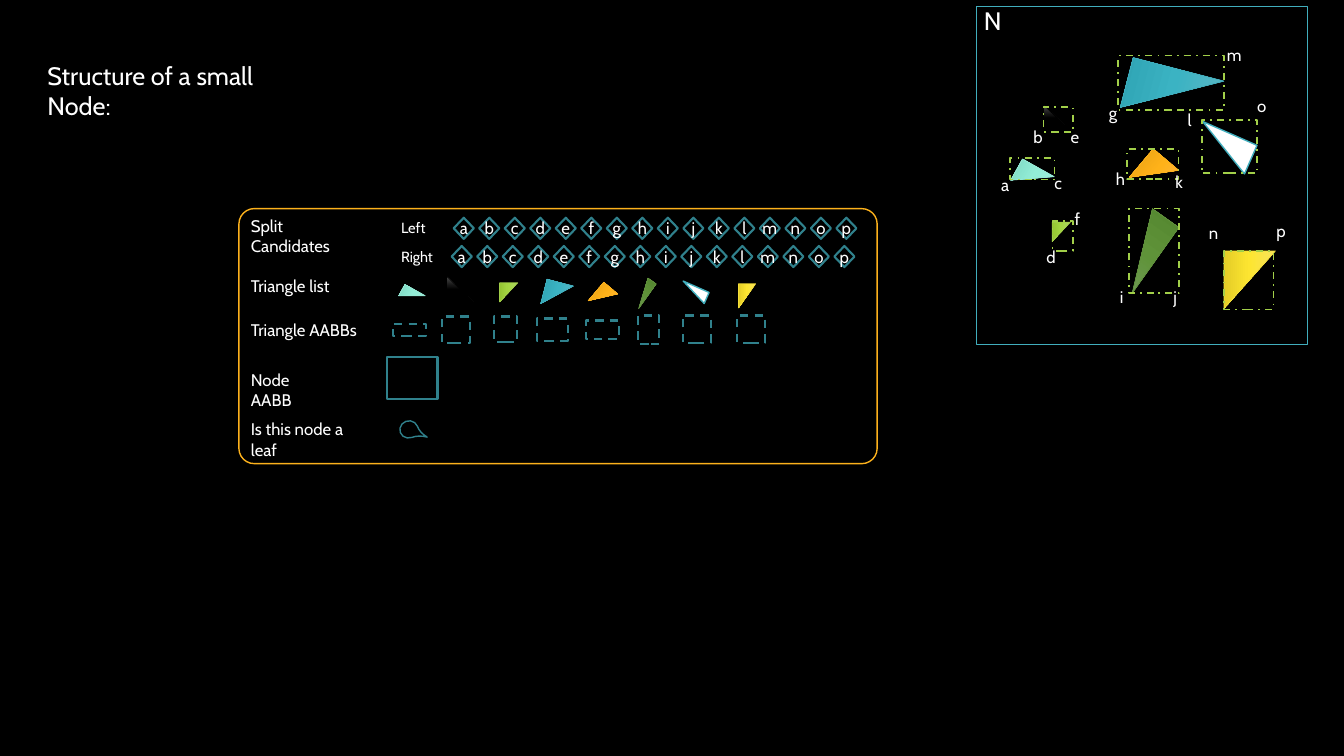
import pptx
import pptx.dml.color
import pptx.enum.dml
import pptx.enum.shapes
import pptx.enum.text
import pptx.oxml
import pptx.oxml.ns
import pptx.util

SHAPE = pptx.enum.shapes.MSO_SHAPE
DASH = pptx.enum.dml.MSO_LINE
ALIGN = pptx.enum.text.PP_ALIGN
ANCHOR = pptx.enum.text.MSO_ANCHOR
FONT, WHITE, TEAL, LIME, AMBER, SKY = "Cabin", "FFFFFF", "30818C", "A2CF49", "FCB11C", "41AEBD"
LETTERS = "abcdefghijklmnop"

# The slide is a grid of 1333 x 750 cells; every box is (column, row, columns, rows).
CELL = pptx.util.Inches(0.01)
SLIDE_COLUMNS, SLIDE_ROWS = 1333, 750
TITLE_BOX = (37, 55, 262, 75)
SCENE_BOX = (968, 6, 329, 336)
NODE_BOX = (237, 207, 633, 253)

# Each triangle: fill stops, line colour, line width, rotation,
# then its triangle and AABB in the scene and in the node.
TRIANGLES = [
    (("A4EDDB", "93EDD7", "7DD8C2"), "97E9D5", 0.5, 119.1,
     (44, 153, 24, 36), (34, 151, 44, 21), (165, 75, 13, 23), (153, 114, 33, 12)),
    (("4B4B4B", "000000", "000000"), "000000", 0.5, 0,
     (67, 98, 27, 26), (67, 100, 29, 25), (206, 67, 27, 26), (201, 107, 28, 26)),
    (("ACD564", "A4D642", "94C533"), LIME, 0.5, 90,
     (75, 215, 19, 18), (76, 213, 20, 30), (258, 74, 19, 18), (253, 107, 23, 25)),
    (("5FB7C5", "3BB3C3", "2FA3B3"), SKY, 0.5, 104.5,
     (169, 41, 51, 93), (141, 49, 105, 54), (303, 72, 25, 27), (296, 109, 30, 22)),
    (("FFBA4F", "FFB219", "E59F14"), AMBER, 0.5, 130.2,
     (158, 150, 37, 33), (150, 142, 51, 30), (349, 79, 24, 18), (344, 111, 33, 18)),
    (("749C5C", "5F9339", "54862F"), "608F3D", 0.5, 215.3,
     (149, 203, 32, 80), (152, 201, 49, 84), (396, 69, 10, 30), (396, 106, 21, 28)),
    ((WHITE,), SKY, 1, 203.7,
     (216, 125, 59, 31), (224, 113, 55, 53), (437, 77, 28, 12), (440, 106, 28, 27)),
    (("F8E35C", "FDE531", "E5CE27"), "F4DE3A", 0.5, 90,
     (243, 246, 57, 51), (246, 243, 49, 58), (492, 78, 24, 17), (494, 106, 28, 27)),
]
VERTICES = {
    "a": (15, 162), "b": (47, 115), "c": (68, 160), "d": (60, 234),
    "e": (84, 115), "f": (88, 196), "g": (122, 91), "h": (129, 156),
    "i": (133, 274), "j": (186, 274), "k": (188, 159), "l": (200, 98),
    "m": (239, 33), "n": (221, 210), "o": (269, 84), "p": (288, 208),
}
NODE_LABELS = [
    ("Split Candidates", 2, 115), ("Triangle list", 62, 133), ("Triangle AABBs", 105, 140),
    ("Node AABB", 155, 90), ("Is this node a leaf", 204, 125),
]
CANDIDATE_ROWS = [("Left", 5, 213, 9), ("Right", 34, 211, 37)]
CANDIDATE_STEP = 25.3


def rgb(value):
    return pptx.dml.color.RGBColor.from_string(value)


def cells(region, box):
    """Lengths of a box whose column and row count from the region's corner."""
    column, row, columns, rows = box
    return [int(n * CELL) for n in (region[0] + column, region[1] + row, columns, rows)]


def write(frame, text, size, align=ALIGN.LEFT, **frame_format):
    for name, value in frame_format.items():
        setattr(frame, name, value)
    paragraph = frame.paragraphs[0]
    paragraph.alignment = align
    run = paragraph.add_run()
    run.text = text
    run.font.color.rgb = rgb(WHITE)
    for name, value in {"name": FONT, "size": pptx.util.Pt(size), "bold": False}.items():
        setattr(run.font, name, value)


def add_label(shapes, region, box, text, size=12, wrap=False):
    frame = shapes.add_textbox(*cells(region, box)).text_frame
    write(frame, text, size, word_wrap=wrap)


def add_outline(shapes, region, box, kind, color, width, dash=None, rotation=0, adjust=None):
    outline = shapes.add_shape(kind, *cells(region, box))
    outline.shadow.inherit = False
    outline.fill.background()
    outline.line.color.rgb = rgb(color)
    outline.line.width = pptx.util.Pt(width)
    outline.rotation = rotation
    if dash:
        outline.line.dash_style = dash
    if adjust is not None:
        outline.adjustments[0] = adjust
    return outline


def fill_gradient(shape, colors):
    stops = "".join(
        f'<a:gs pos="{position}"><a:srgbClr val="{color}"/></a:gs>'
        for position, color in zip((0, 50000, 100000), colors))
    gradient = pptx.oxml.parse_xml(
        f'<a:gradFill {pptx.oxml.ns.nsdecls("a")} rotWithShape="1">'
        f'<a:gsLst>{stops}</a:gsLst><a:lin ang="5400000" scaled="0"/></a:gradFill>')
    properties = shape.element.spPr
    no_fill = properties.find(pptx.oxml.ns.qn("a:noFill"))
    properties.replace(no_fill, gradient)


def add_triangle(shapes, region, box, colors, line, width, rotation):
    triangle = add_outline(shapes, region, box, SHAPE.RIGHT_TRIANGLE, line, width,
                           rotation=rotation)
    if len(colors) > 1:
        fill_gradient(triangle, colors)
    else:
        triangle.fill.solid()
        triangle.fill.fore_color.rgb = rgb(colors[0])


def add_title(slide, box):
    title = slide.shapes.title
    title.left, title.top, title.width, title.height = cells((0, 0), box)
    write(title.text_frame, "Structure of a small Node:", 18, word_wrap=True,
          auto_size=pptx.enum.text.MSO_AUTO_SIZE.NONE, vertical_anchor=ANCHOR.TOP)


def add_scene(slide, region):
    """The triangles in space, each in its bounding box, with lettered box edges."""
    shapes = slide.shapes.add_group_shape().shapes
    add_label(shapes, region, (-2, -6, 37, 40), "N", 18)
    add_outline(shapes, region, (0, 0, *region[2:]), SHAPE.RECTANGLE, SKY, 0.5)
    for *look, triangle, _, _, _ in TRIANGLES:
        add_triangle(shapes, region, triangle, *look)
    for *_, aabb, _, _ in TRIANGLES:
        add_outline(shapes, region, aabb, SHAPE.RECTANGLE, LIME, 1.25, DASH.DASH_DOT)
    for letter, corner in VERTICES.items():
        add_label(shapes, region, (*corner, 29, 30), letter)


def add_candidates(shapes, region, side, label_row, first_column, row):
    add_label(shapes, region, (151, label_row, 53, 28), side, 10.5)
    for index, letter in enumerate(LETTERS):
        box = (first_column + index * CANDIDATE_STEP, row, 20, 21)
        diamond = add_outline(shapes, region, box, SHAPE.DIAMOND, TEAL, 1.5)
        write(diamond.text_frame, letter, 12, ALIGN.CENTER, word_wrap=False,
              vertical_anchor=ANCHOR.MIDDLE, margin_left=0, margin_right=0,
              margin_top=0, margin_bottom=0)


def add_node(slide, region):
    """The fields that a small node stores, one per row."""
    shapes = slide.shapes.add_group_shape().shapes
    for text, row, columns in NODE_LABELS:
        add_label(shapes, region, (2, row, columns, 30), text, wrap=True)
    for candidates in CANDIDATE_ROWS:
        add_candidates(shapes, region, *candidates)
    for *look, _, _, triangle, aabb in TRIANGLES:
        add_triangle(shapes, region, triangle, *look)
        add_outline(shapes, region, aabb, SHAPE.RECTANGLE, TEAL, 1.5, DASH.DASH)
    add_outline(shapes, region, (147, 147, 50, 42), SHAPE.RECTANGLE, TEAL, 1.5)
    add_outline(shapes, region, (160, 210, 17, 18), SHAPE.TEAR, TEAL, 1,
                rotation=69.4, adjust=1.59)
    add_outline(shapes, region, (0, 0, *region[2:]), SHAPE.ROUNDED_RECTANGLE, AMBER, 1,
                adjust=0.06)


def main():
    deck = pptx.Presentation()
    deck.slide_width, deck.slide_height = SLIDE_COLUMNS * CELL, SLIDE_ROWS * CELL
    slide = deck.slides.add_slide(deck.slide_layouts.get_by_name("Title Only"))
    slide.background.fill.solid()
    slide.background.fill.fore_color.rgb = rgb("000000")
    add_scene(slide, SCENE_BOX)
    add_title(slide, TITLE_BOX)
    add_node(slide, NODE_BOX)
    deck.save("out.pptx")


if __name__ == "__main__":
    main()
